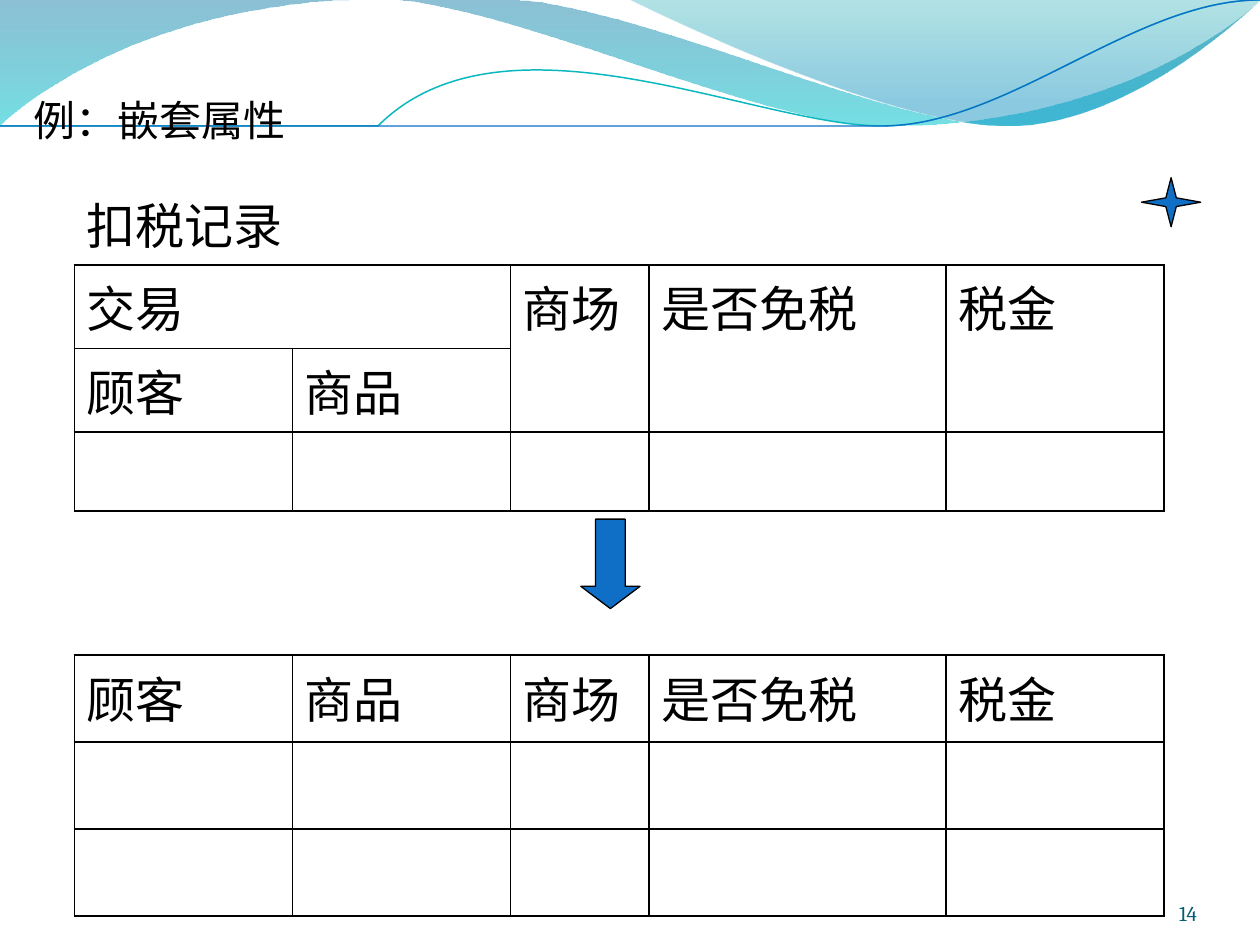
from lxml.etree import SubElement
from pptx import Presentation
from pptx.dml.color import RGBColor
from pptx.enum.shapes import MSO_SHAPE
from pptx.enum.text import MSO_ANCHOR, PP_ALIGN
from pptx.oxml import parse_xml
from pptx.oxml.ns import nsdecls, qn
from pptx.util import Inches, Pt

BLACK = "000000"
BLUE = "0F6FC6"
COLUMN_WIDTHS = [1.73, 1.73, 1.1, 2.36, 1.73]
TABLE_LEFT = 0.59


def color(value):
    return RGBColor.from_string(value)


class NestedAttributeSlide:
    font = "Open Sans"
    table_size = 28

    def __init__(self, presentation):
        self.slide = presentation.slides.add_slide(presentation.slide_layouts[6])
        self.shapes = self.slide.shapes

    def curve(self, start, segments):
        """Draw segments of one point (line) or three points (cubic curve)."""
        points = [point for segment in segments for point in segment]
        builder = self.shapes.build_freeform(*start, scale=Inches(1))
        builder.add_line_segments(points, close=len(segments[-1]) == 1)
        outline = builder.convert_to_shape()
        outline.shadow.inherit = False
        lines = iter(outline._element.findall(".//" + qn("a:lnTo")))
        for segment in segments:
            parts = [next(lines) for _ in segment]
            if len(parts) == 3:
                bezier = parse_xml(f"<a:cubicBezTo {nsdecls('a')}/>")
                parts[0].addprevious(bezier)
                for part in parts:
                    bezier.append(part[0])
                    part.getparent().remove(part)
        return outline

    def wave(self, start, segments, stops):
        """Fill a closed curve top to bottom; stops are position, colour, opacity."""
        band = self.curve(start, segments)
        band.line.fill.background()
        band.fill.gradient()
        band.fill.gradient_angle = 270
        for stop, (position, value, _) in zip(band.fill.gradient_stops, stops):
            stop.position = position
            stop.color.rgb = color(value)
        tints = band._element.spPr.iter(qn("a:srgbClr"))
        for tint, (_, _, opacity) in zip(list(tints), stops):
            SubElement(tint, qn("a:alpha"), val=str(opacity * 1000))

    def strand(self, start, segments, value, width):
        thread = self.curve(start, segments)
        thread.fill.background()
        self.outline(thread, value, width)

    def outline(self, shape, value, width=0.75):
        shape.line.color.rgb = color(value)
        shape.line.width = Pt(width)

    def symbol(self, kind, left, top, width, height, adjustments):
        mark = self.shapes.add_shape(
            kind, Inches(left), Inches(top), Inches(width), Inches(height))
        for index, value in enumerate(adjustments):
            mark.adjustments[index] = value
        mark.shadow.inherit = False
        mark.fill.solid()
        mark.fill.fore_color.rgb = color(BLUE)
        self.outline(mark, BLACK)

    def style(self, paragraph, size, value=BLACK, font=None):
        paragraph.font.size = Pt(size)
        paragraph.font.name = font or self.font
        paragraph.font.color.rgb = color(value)

    def text(self, words, left, top, width, height, size, value=BLACK, font=None):
        box = self.shapes.add_textbox(
            Inches(left), Inches(top), Inches(width), Inches(height))
        frame = box.text_frame
        frame.text = words
        self.style(frame.paragraphs[0], size, value, font)
        return frame

    def table(self, top, row_heights, rows, merges=(), caption=False):
        """Draw a ruled grid; a caption row keeps only its bottom rule."""
        grid = self.shapes.add_table(
            len(rows), len(COLUMN_WIDTHS), Inches(TABLE_LEFT), Inches(top),
            Inches(sum(COLUMN_WIDTHS)), Inches(sum(row_heights))).table
        grid.first_row = grid.horz_banding = False
        for column, width in zip(grid.columns, COLUMN_WIDTHS):
            column.width = Inches(width)
        for row, height in zip(grid.rows, row_heights):
            row.height = Inches(height)
        for r, words in enumerate(rows):
            for c in range(len(COLUMN_WIDTHS)):
                cell = grid.cell(r, c)
                cell.fill.background()
                self.rule(cell, "B" if caption and r == 0 else "LRTB")
                if c < len(words) and words[c]:
                    cell.text = words[c]
                self.style(cell.text_frame.paragraphs[0], self.table_size)
        for first, last in merges:
            grid.cell(*first).merge(grid.cell(*last))

    def rule(self, cell, ruled):
        properties = cell._tc.get_or_add_tcPr()
        for index, side in enumerate("LRTB"):
            paint = (f'<a:solidFill><a:srgbClr val="{BLACK}"/></a:solidFill>'
                     if side in ruled else "<a:noFill/>")
            properties.insert(index, parse_xml(
                f'<a:ln{side} {nsdecls("a")} w="{Pt(1)}">{paint}</a:ln{side}>'))


def main():
    presentation = Presentation()
    presentation.slide_width = Inches(10)
    presentation.slide_height = Inches(7.5)
    page = NestedAttributeSlide(presentation)

    page.wave((0, -0.01), [
        [(4.4, -0.01)],
        [(4.76, 0.17), (6.64, 0.63), (7.58, 0.63)],
        [(8.53, 0.63), (9.58, 0.26), (10, 0.09)],
        [(10.01, 0.36)],
        [(9.83, 0.44), (8.7, 0.76), (7.46, 0.75)],
        [(6.22, 0.75), (3.82, 0.28), (2.57, 0.34)],
        [(1.29, 0.35), (0.46, 0.83), (-0.01, 1.13)],
        [(0, -0.01)],
    ], [(0, "0074A1", 45), (1, "00C6CF", 55)])
    page.wave((4.79, -0.01), [
        [(5.09, 0.11), (6.82, 0.62), (7.69, 0.65)],
        [(8.56, 0.69), (9.61, 0.32), (10, 0.21)],
        [(10, 0)],
        [(4.79, -0.01)],
    ], [(0, "00A1A9", 30), (0.8, "008BBF", 45)])
    page.strand((0, 1.11), [
        [(0.48, 0.93), (1.58, 0.57), (2.77, 0.52)],
        [(3.95, 0.47), (5.93, 0.89), (7.13, 0.8)],
        [(8.33, 0.71), (9.38, 0.15), (9.98, -0.02)],
    ], "0AB8BF", 0.85)
    page.strand((0, 1.04), [
        [(0.47, 0.96), (1.64, 0.61), (2.83, 0.56)],
        [(4.03, 0.51), (5.97, 0.83), (7.17, 0.75)],
        [(8.36, 0.67), (9.41, 0.21), (10, 0.06)],
    ], BLUE, 0.75)

    customer_goods = ["顾客", "商品"]
    tax_fields = ["商场", "是否免税", "税金"]
    page.table(5.2, [0.69] * 3, [customer_goods + tax_fields, [], []])
    page.table(
        1.44, [0.66, 0.66, 0.66, 0.63],
        [["扣税记录"], ["交易", ""] + tax_fields, customer_goods, []],
        merges=[((0, 0), (0, 4)), ((1, 0), (1, 1))]
        + [((1, c), (2, c)) for c in (2, 3, 4)],
        caption=True)

    title = page.text("例：嵌套属性", 0.17, 0.7, 2.2, 0.5, 24)
    title.word_wrap = False
    page.symbol(MSO_SHAPE.DOWN_ARROW, 4.61, 4.12, 0.47, 0.71, [0.5, 0.375])

    number = page.text("14", 8.67, 6.95, 0.83, 0.4, 12, "045D75", "Cambria")
    number.word_wrap = True
    number.margin_left = number.margin_right = 0
    number.margin_top = number.margin_bottom = 0
    number.vertical_anchor = MSO_ANCHOR.BOTTOM
    number.paragraphs[0].alignment = PP_ALIGN.RIGHT
    page.symbol(MSO_SHAPE.STAR_4_POINT, 9.06, 1.41, 0.47, 0.39, [0.125])

    presentation.save("out.pptx")


if __name__ == "__main__":
    main()
